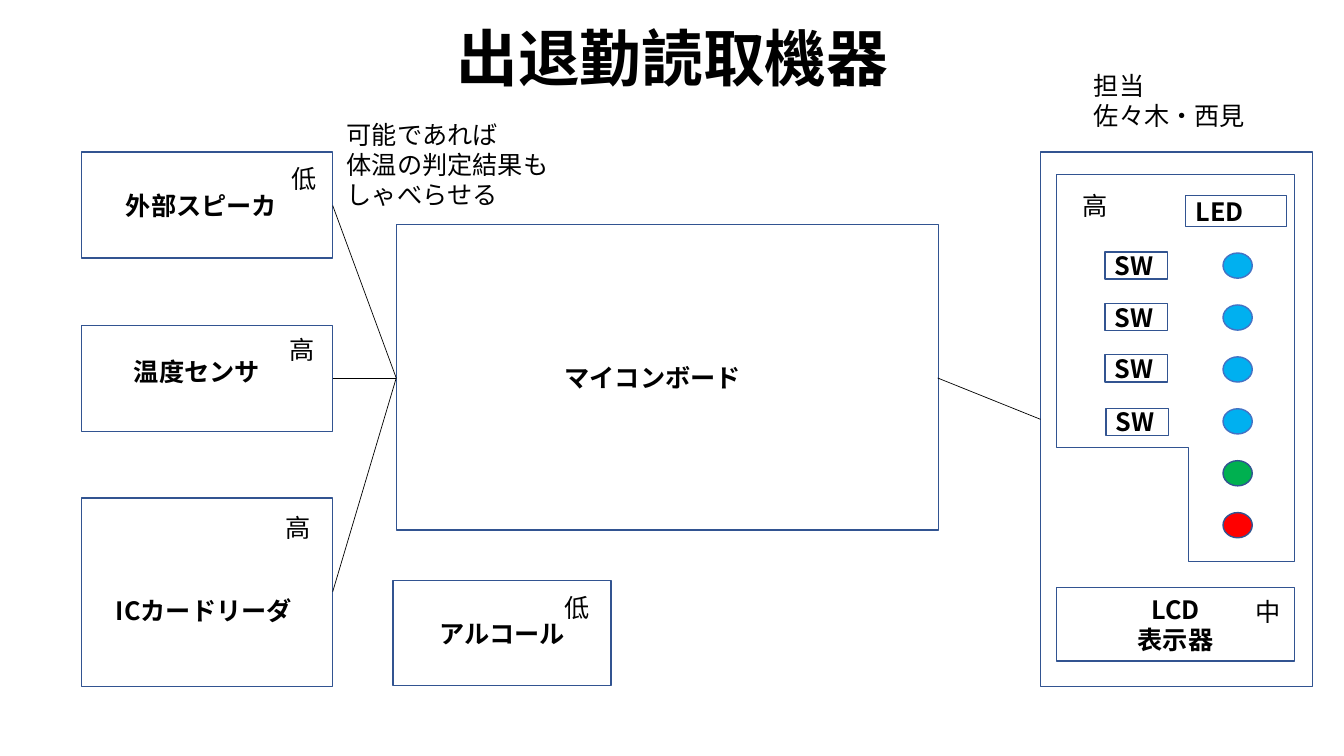
import pptx
import pptx.util
import pptx.dml.color
import pptx.enum.shapes
import pptx.enum.text
import pptx.oxml.ns
import lxml.etree

Inches = pptx.util.Inches
Kind = pptx.enum.shapes.MSO_SHAPE
Align = pptx.enum.text.PP_ALIGN
Anchor = pptx.enum.text.MSO_ANCHOR
qn = pptx.oxml.ns.qn

FONT = "Noto Sans CJK JP"
BLACK, NAVY, BLUE = "000000", "325491", "4472C4"
SKY, GREEN, RED = "00B0F0", "00B050", "FF0000"

# Content: boxes are (left, top, width, height, text, alignment)
TITLE = "出退勤読取機器"
LEFT, WIDE = 0.81, 2.49
BOXES = [
    (LEFT, 1.51, WIDE, 1.05, "", None),
    (LEFT, 3.23, WIDE, 1.05, "", None),
    (LEFT, 4.94, WIDE, 1.87, "", None),
    (3.93, 2.23, 5.38, 3.03, "", None),
    (10.32, 1.51, 2.7, 5.3, "", None),
    (3.9, 5.76, 2.16, 1.04, "アルコール", Align.CENTER),
    (10.48, 5.83, 2.36, 0.73, "LCD\n表示器", Align.CENTER),
    (11.76, 1.94, 1, 0.31, "LED", Align.JUSTIFY),
]
# Labels are (left, top, width, height, text, bold, wrap)
LABELS = [
    (1.15, 1.84, 1.81, 0.4, "外部スピーカ", True, True),
    (1.23, 3.49, 1.48, 0.4, "温度センサ", True, True),
    (1.05, 5.86, 2.01, 0.4, "ICカードリーダ", True, True),
    (5.5, 3.55, 2.01, 0.4, "マイコンボード", True, True),
    (3.34, 1.13, 2.49, 1.01, "可能であれば\n体温の判定結果も\nしゃべらせる", False, True),
    (10.75, 0.65, 1.72, 0.71, "担当\n佐々木・西見", False, False),
]
RANKS = [(2.79, 1.57, "低"), (2.77, 3.27, "高"), (2.73, 5.03, "高"),
         (5.5, 5.83, "低"), (10.64, 1.84, "高"), (12.35, 5.87, "中")]
LAMPS = [(SKY, BLUE)] * 4 + [(GREEN, NAVY), (RED, NAVY)]
HUB = (3.93, 3.75)
LINKS = [((3.3, 2.04), HUB), ((3.3, 3.75), HUB), ((3.3, 5.87), HUB),
         ((10.32, 4.16), (9.3, 3.75))]
SWITCHES = [(10.96, 2.5), (10.96, 3.01), (10.96, 3.52), (10.97, 4.05)]
PANEL = [(10.48, 1.73), (12.84, 1.73), (12.84, 5.57),
         (11.79, 5.57), (11.79, 4.44), (10.48, 4.44)]


def color(code):
    return pptx.dml.color.RGBColor.from_string(code)


def write(frame, text, bold, align=None, size=18):
    para = frame.paragraphs[0]
    para.alignment = align
    for i, line in enumerate(text.split("\n")):
        if i:
            para.add_line_break()
        run = para.add_run()
        run.text = line
        font = run.font
        font.size, font.bold, font.name = pptx.util.Pt(size), bold, FONT
        font.color.rgb = color(BLACK)
        east = lxml.etree.SubElement(run._r.get_or_add_rPr(), qn("a:ea"))
        east.set("typeface", FONT)


def style(shape, fill=None, line=NAVY):
    shape.shadow.inherit = False
    if fill:
        shape.fill.solid()
        shape.fill.fore_color.rgb = color(fill)
    else:
        shape.fill.background()
    shape.line.color.rgb = color(line)
    shape.line.width = pptx.util.Pt(1)


def box(left, top, width, height, text, align):
    shape = shapes.add_shape(Kind.RECTANGLE, *map(Inches, (left, top, width, height)))
    style(shape)
    if text:
        frame = shape.text_frame
        frame.word_wrap = True
        frame.vertical_anchor = Anchor.MIDDLE
        write(frame, text, True, align)


def label(left, top, width, height, text, bold, wrap):
    area = shapes.add_textbox(*map(Inches, (left, top, width, height)))
    area.text_frame.word_wrap = wrap
    area.text_frame.auto_size = pptx.enum.text.MSO_AUTO_SIZE.SHAPE_TO_FIT_TEXT
    write(area.text_frame, text, bold)


deck = pptx.Presentation()
deck.slide_width, deck.slide_height = Inches(13.33), Inches(7.5)
slide = deck.slides.add_slide(deck.slide_layouts[5])
shapes = slide.shapes

# Title
title = shapes.title
title.left, title.top, title.width, title.height = map(Inches, (1.67, 0.16, 10, 0.83))
title.text_frame.auto_size = pptx.enum.text.MSO_AUTO_SIZE.NONE
title.text_frame.vertical_anchor = Anchor.BOTTOM
write(title.text_frame, TITLE, True, Align.CENTER, 44)
title.text_frame.paragraphs[0].line_spacing = 0.9

# Devices
for item in BOXES:
    box(*item)

# Panel with switches and lamps
points = [(Inches(x), Inches(y)) for x, y in PANEL]
outline = shapes.build_freeform(*points[0])
outline.add_line_segments(points[1:], close=True)
style(outline.convert_to_shape())
for left, top in SWITCHES:
    box(left, top, 0.62, 0.27, "SW", Align.JUSTIFY)
for i, (fill, line) in enumerate(LAMPS):
    place = map(Inches, (12.13, 2.51 + 0.515 * i, 0.29, 0.25))
    style(shapes.add_shape(Kind.OVAL, *place), fill, line)

# Links
for start, end in LINKS:
    link = shapes.add_connector(pptx.enum.shapes.MSO_CONNECTOR.STRAIGHT,
                                *map(Inches, start + end))
    link.line.color.rgb = color(BLACK)
    link.line.width = pptx.util.Pt(0.5)
    lxml.etree.SubElement(link._element.spPr, qn("a:effectLst"))

# Labels and ranks
for item in LABELS:
    label(*item)
for left, top, rank in RANKS:
    label(left, top, 0.45, 0.4, rank, False, False)

deck.save("out.pptx")
